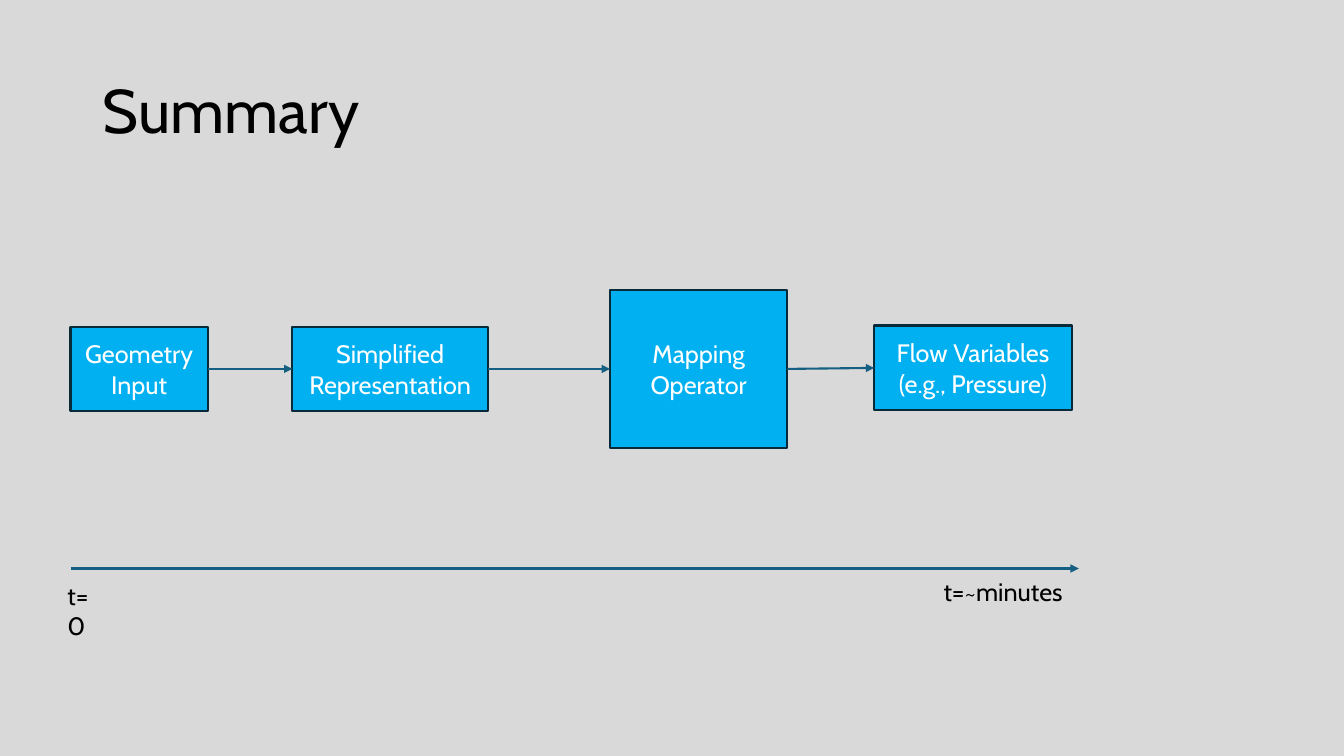
from lxml import etree
from pptx import Presentation, util as u
from pptx.dml.color import RGBColor
from pptx.enum import shapes, text
from pptx.oxml.ns import qn

theme = {
    "back": "D9D9D9", "box": "00B0F0", "edge": "092A39", "line": "156082",
    "ink": "000000", "light": "FFFFFF",
    "font": "Cabin", "head": 44, "body": 18, "rule": 1.5,
}
hue = {key: RGBColor.from_string(theme[key])
       for key in ("back", "box", "edge", "line", "ink", "light")}

deck = Presentation()
deck.slide_width, deck.slide_height = u.Inches(13.33), u.Inches(7.5)
slide = deck.slides.add_slide(deck.slide_layouts[5])
slide.background.fill.solid()
slide.background.fill.fore_color.rgb = hue["back"]


def write(shape, words, size, tone, align, anchor):
    frame = shape.text_frame
    frame.text = words
    look = {"word_wrap": True, "auto_size": text.MSO_AUTO_SIZE.NONE,
            "vertical_anchor": anchor}
    for key, value in look.items():
        setattr(frame, key, value)
    para = frame.paragraphs[0]
    para.alignment = align
    for key, value in {"name": theme["font"], "size": u.Pt(size)}.items():
        setattr(para.font, key, value)
    para.font.color.rgb = hue[tone]


def arrow(x1, y1, x2, y2):
    link = slide.shapes.add_connector(
        shapes.MSO_CONNECTOR.STRAIGHT, *map(u.Inches, (x1, y1, x2, y2)))
    link.line.width = u.Pt(theme["rule"])
    link.line.color.rgb = hue["line"]
    props = link.line._get_or_add_ln()
    etree.SubElement(props, qn("a:tailEnd"), type="triangle")
    etree.SubElement(link._element.spPr, qn("a:effectLst"))
    return link


left, middle = text.PP_ALIGN.LEFT, text.MSO_ANCHOR.MIDDLE

# Title
title = slide.shapes.title
place = {"left": 0.92, "top": 0.4, "width": 11.5, "height": 1.45}
for key, value in place.items():
    setattr(title, key, u.Inches(value))
write(title, "Summary", theme["head"], "ink", left, middle)
title.text_frame.paragraphs[0].line_spacing = 0.9

# Process steps: left, centre height, width, height
steps = [
    ("Geometry Input", 0.7, 3.66, 1.36, 0.84),
    ("Simplified Representation", 2.9, 3.66, 1.94, 0.84),
    ("Mapping Operator", 6.05, 3.66, 1.76, 1.57),
    ("Flow Variables (e.g., Pressure)", 8.67, 3.65, 1.96, 0.84),
]
boxes = []
for words, x, mid, wide, high in steps:
    box = slide.shapes.add_shape(
        shapes.MSO_SHAPE.RECTANGLE,
        *map(u.Inches, (x, mid - high / 2, wide, high)))
    box.shadow.inherit = False
    box.fill.solid()
    box.fill.fore_color.rgb = hue["box"]
    box.line.color.rgb = hue["edge"]
    box.line.width = u.Pt(theme["rule"])
    write(box, words, theme["body"], "light", text.PP_ALIGN.CENTER, middle)
    boxes.append(box)

# Links from each step to the next
for first, second in zip(boxes, boxes[1:]):
    link = arrow(0, 0, 1, 1)
    link.begin_connect(first, 3)
    link.end_connect(second, 1)

# Time line and its labels
arrow(0.7, 5.64, 10.7, 5.64)
for words, x, y, wide in [("t=0", 0.57, 5.71, 0.55),
                          ("t=~minutes", 9.26, 5.67, 1.45)]:
    label = slide.shapes.add_textbox(*map(u.Inches, (x, y, wide, 0.4)))
    write(label, words, theme["body"], "ink", left, text.MSO_ANCHOR.TOP)

deck.save("out.pptx")
